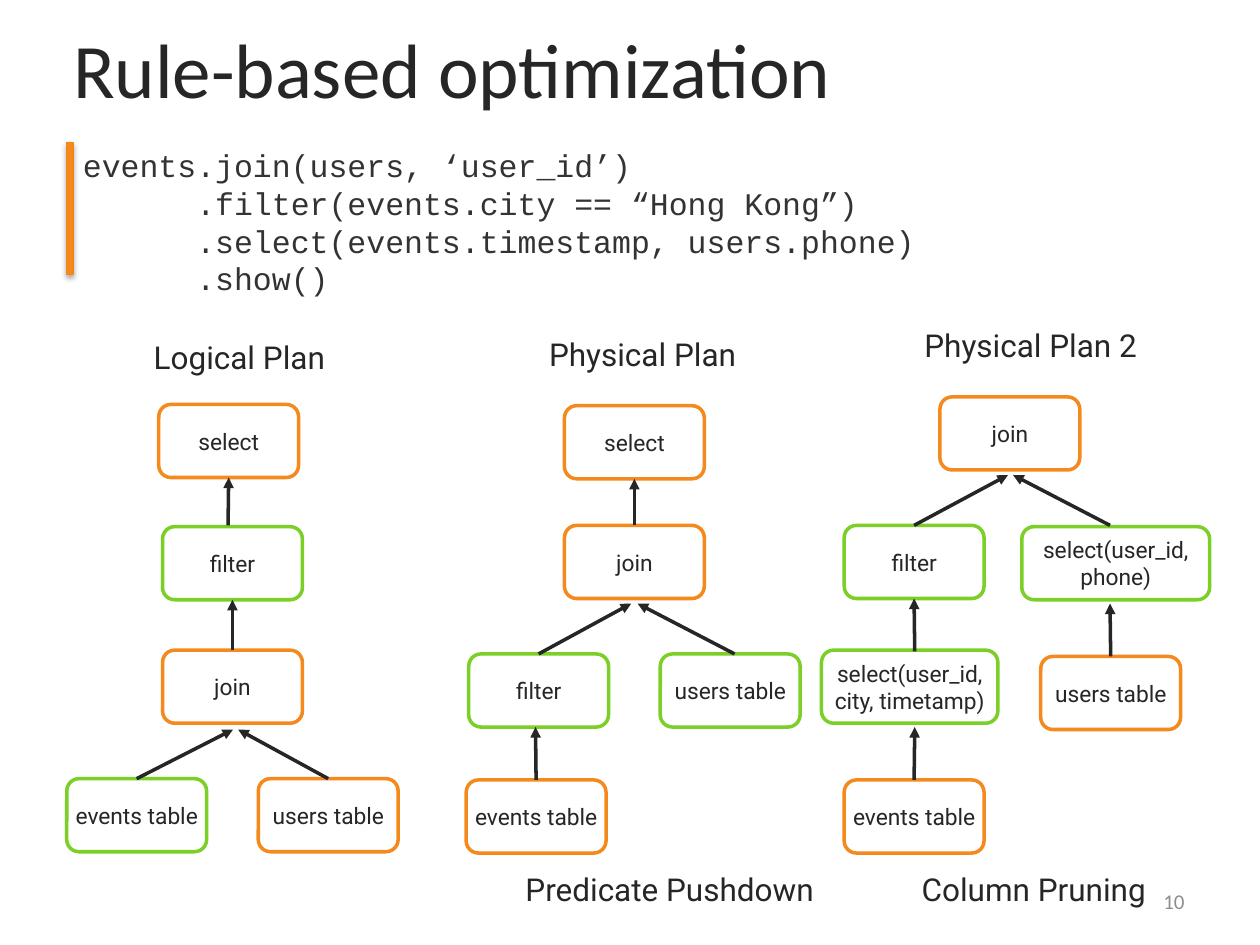
from lxml import etree
from pptx import Presentation
from pptx.dml.color import RGBColor
from pptx.enum.shapes import MSO_CONNECTOR, MSO_SHAPE
from pptx.enum.text import MSO_ANCHOR, PP_ALIGN
from pptx.oxml import parse_xml
from pptx.oxml.ns import nsdecls, qn
from pptx.util import Inches, Pt

LEFT, CENTER, RIGHT = PP_ALIGN.LEFT, PP_ALIGN.CENTER, PP_ALIGN.RIGHT
TOP, MIDDLE = MSO_ANCHOR.TOP, MSO_ANCHOR.MIDDLE
RECTANGLE, ROUNDED = MSO_SHAPE.RECTANGLE, MSO_SHAPE.ROUNDED_RECTANGLE
STRAIGHT = MSO_CONNECTOR.STRAIGHT
TOP_SITE, BOTTOM_SITE = 0, 2
TITLE_ONLY = 5

COLORS = {"ink": "262626", "code": "333333", "number": "8E8E8E", "white": "FFFFFF",
          "orange": "F4891E", "green": "7BCF27", "bar_edge": "F48618"}
NODE_WIDTH, NODE_HEIGHT = 1.11, 0.58

CODE = [  # text, indent
    ("events.join(users, ‘user_id’)", 0),
    (".filter(events.city == “Hong Kong”)", 0.9),
    (".select(events.timestamp, users.phone)", 0.9),
    (".show()", 0.9),
]

LABELS = [  # text, left, top, width
    ("Logical Plan", 1.11, 2.63, 1.58),
    ("Physical Plan", 4.24, 2.61, 1.72),
    ("Physical Plan 2", 6.49, 2.54, 3.38),
    ("Predicate Pushdown", 4.02, 6.86, 2.59),
    ("Column Pruning", 7.2, 6.86, 2.01),
]

# Each plan: nodes as key: (text, color, left, top[, width]), and
# edges as (child, parent, start, tip), where None means the middle of the side
PLANS = [
    ({"select": ("select", "orange", 1.26, 3.21),
      "filter": ("filter", "green", 1.29, 4.18),
      "join": ("join", "orange", 1.29, 5.16),
      "events": ("events table", "green", 0.53, 6.18),
      "users": ("users table", "orange", 2.05, 6.18)},
     [("filter", "select", (1.81, 4.17), None),
      ("join", "filter", None, None),
      ("events", "join", None, (1.85, 5.79)),
      ("users", "join", None, (1.89, 5.79))]),
    ({"select": ("select", "orange", 4.48, 3.22),
      "join": ("join", "orange", 4.48, 4.17),
      "filter": ("filter", "green", 3.72, 5.19),
      "users": ("users table", "green", 5.24, 5.19),
      "events": ("events table", "orange", 3.7, 6.19)},
     [("join", "select", None, None),
      ("filter", "join", None, (5.01, 4.79)),
      ("users", "join", (5.83, 5.19), (5.06, 4.79)),
      ("events", "filter", None, (4.25, 5.77))]),
    ({"join": ("join", "orange", 7.46, 3.15),
      "filter": ("filter", "green", 6.7, 4.17),
      "user_columns": ("select(user_id, phone)", "green", 8.11, 4.18, 1.49),
      "event_columns": ("select(user_id, city, timetamp)", "green", 6.52, 5.16, 1.4),
      "users": ("users table", "orange", 8.26, 5.21),
      "events": ("events table", "orange", 6.7, 6.19)},
     [("filter", "join", None, (8, 3.77)),
      ("user_columns", "join", (8.81, 4.17), (8.04, 3.77)),
      ("event_columns", "filter", (7.26, 5.17), None),
      ("users", "user_columns", None, (8.81, 4.79)),
      ("events", "event_columns", None, (7.26, 5.77))]),
]


def color(name):
    return RGBColor.from_string(COLORS[name])


def write(para, text, *, size, font="Roboto", ink="ink", align=LEFT, indent=0):
    """Put one formatted span into a paragraph."""
    para.alignment = align
    if indent:
        properties = para._p.get_or_add_pPr()
        properties.set("marL", str(Inches(indent)))
        properties.set("indent", "0")
    span = para.add_run()
    span.text = text
    span.font.size = Pt(size)
    span.font.name = font
    span.font.color.rgb = color(ink)


class PlanSlide:
    """Holds the diagram style and the current slide."""

    line_width = Pt(2)
    node_size = 13
    label_size = 18

    def __init__(self, page):
        self.page = page

    def title(self, text, left, top, width, height):
        box = self.page.shapes.title
        box.left, box.top = Inches(left), Inches(top)
        box.width, box.height = Inches(width), Inches(height)
        frame = box.text_frame
        frame.vertical_anchor = TOP
        frame.margin_top = Inches(0.09)
        write(frame.paragraphs[0], text, size=44, font="Calibri")

    def text_box(self, lines, left, top, width, height, wrap=True, anchor=TOP, **style):
        box = self.page.shapes.add_textbox(
            Inches(left), Inches(top), Inches(width), Inches(height))
        frame = box.text_frame
        frame.word_wrap = wrap
        frame.vertical_anchor = anchor
        for index, (text, indent) in enumerate(lines):
            para = frame.add_paragraph() if index else frame.paragraphs[0]
            write(para, text, indent=indent, **style)

    def label(self, text, left, top, width):
        self.text_box([(text, 0)], left, top, width, 0.4, wrap=False,
                      size=self.label_size, align=CENTER)

    def shape(self, kind, left, top, width, height, fill, edge, edge_width):
        box = self.page.shapes.add_shape(
            kind, Inches(left), Inches(top), Inches(width), Inches(height))
        box.shadow.inherit = False
        box.fill.solid()
        box.fill.fore_color.rgb = color(fill)
        box.line.color.rgb = color(edge)
        box.line.width = edge_width
        return box

    def accent_bar(self, left, top, width, height):
        bar = self.shape(RECTANGLE, left, top, width, height, "orange", "bar_edge", Pt(0.75))
        effects = bar._element.spPr.find(qn("a:effectLst"))
        effects.append(parse_xml(
            f'<a:outerShdw {nsdecls("a")} blurRad="{Pt(3.1)}" dist="{Pt(1.8)}" '
            'dir="5400000" rotWithShape="0"><a:srgbClr val="000000">'
            '<a:alpha val="35000"/></a:srgbClr></a:outerShdw>'))

    def node(self, text, edge, left, top, width=NODE_WIDTH):
        box = self.shape(ROUNDED, left, top, width, NODE_HEIGHT, "white", edge,
                         self.line_width)
        frame = box.text_frame
        frame.word_wrap = True
        frame.vertical_anchor = MIDDLE
        frame.margin_left = frame.margin_right = 0
        frame.margin_top = frame.margin_bottom = 0
        write(frame.paragraphs[0], text, size=self.node_size, align=CENTER)
        return box

    def arrow(self, child, parent, start, tip):
        start_x, start_y = map(Inches, start or (0, 0))
        tip_x, tip_y = map(Inches, tip or (0, 0))
        line = self.page.shapes.add_connector(STRAIGHT, start_x, start_y, tip_x, tip_y)
        if start is None:
            line.begin_connect(child, TOP_SITE)
        if tip is None:
            line.end_connect(parent, BOTTOM_SITE)
        line.line.color.rgb = color("ink")
        line.line.width = self.line_width
        etree.SubElement(line.line._get_or_add_ln(), qn("a:tailEnd"), type="triangle")
        etree.SubElement(line._element.spPr, qn("a:effectLst"))

    def plan(self, nodes, edges):
        boxes = {key: self.node(*node) for key, node in nodes.items()}
        for child, parent, start, tip in edges:
            self.arrow(boxes[child], boxes[parent], start, tip)


def main():
    deck = Presentation()
    deck.slide_width, deck.slide_height = Inches(10), Inches(7.5)
    slide = PlanSlide(deck.slides.add_slide(deck.slide_layouts[TITLE_ONLY]))

    # Title and query
    slide.title("Rule-based optimization", 0.48, 0.08, 9.19, 0.75)
    slide.text_box(CODE, 0.56, 1.11, 9, 1.31, size=18, font="Courier New", ink="code")
    slide.accent_bar(0.53, 1.13, 0.05, 1.05)

    # Plan trees with headings and captions
    for label in LABELS:
        slide.label(*label)
    for nodes, edges in PLANS:
        slide.plan(nodes, edges)

    # Page number
    slide.text_box([("10", 0)], 7.17, 6.95, 2.33, 0.4, anchor=MIDDLE, size=12,
                   font="Calibri", ink="number", align=RIGHT)
    deck.save("out.pptx")


if __name__ == "__main__":
    main()
